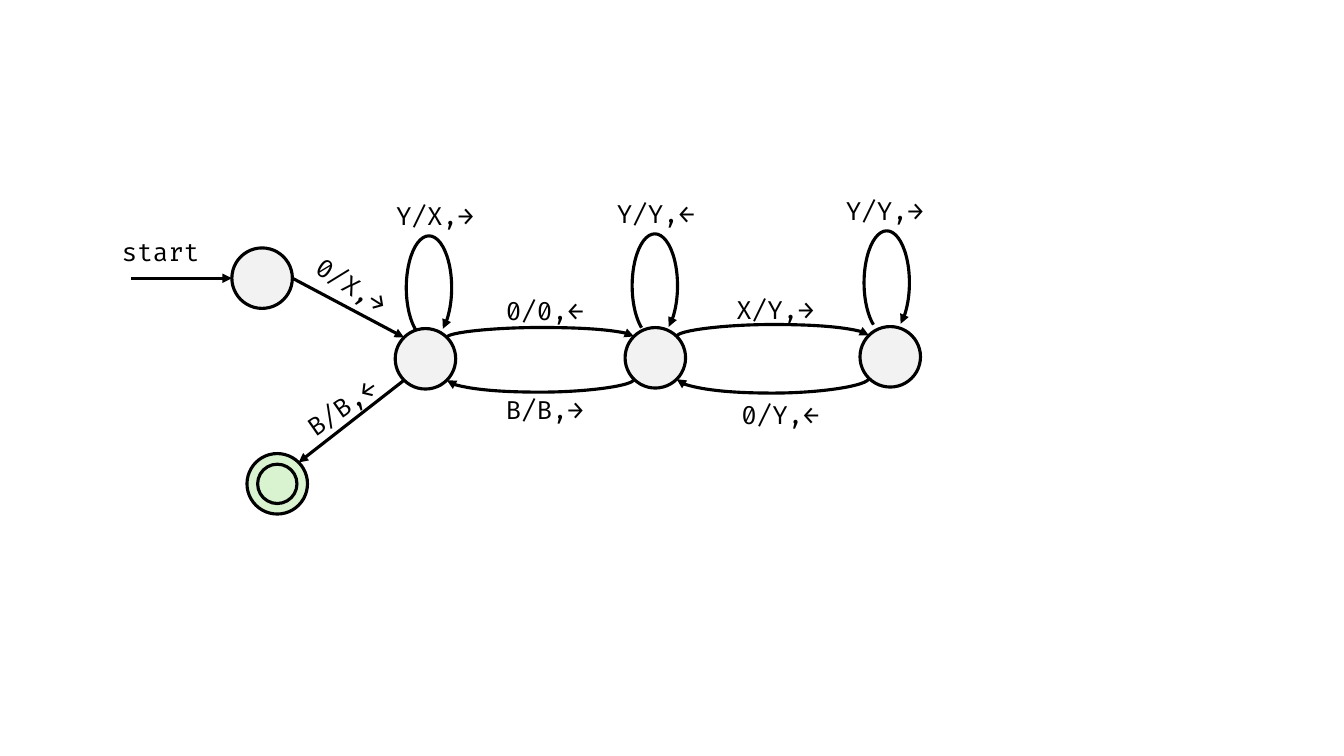
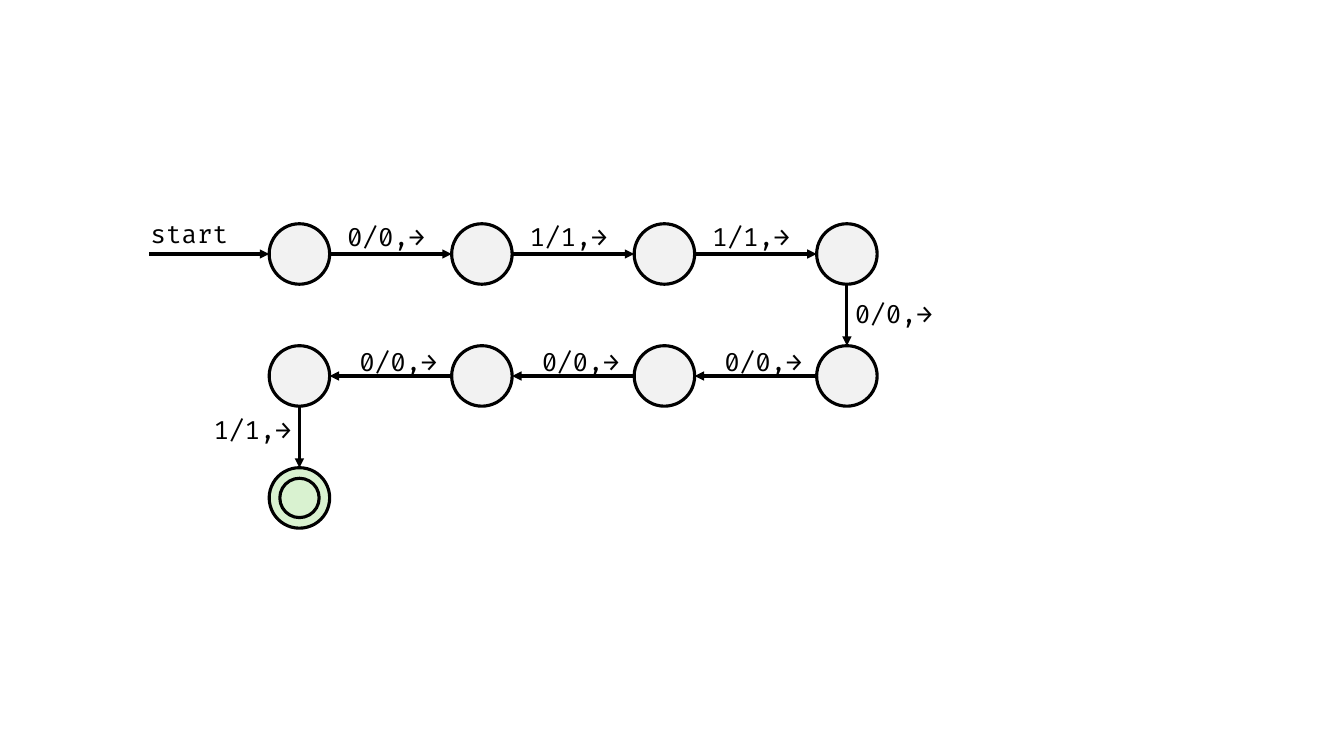
import lxml.etree
import pptx
import pptx.dml.color
import pptx.enum.shapes
import pptx.enum.text
import pptx.oxml.ns
import pptx.util

Inches = pptx.util.Inches
MSO_SHAPE = pptx.enum.shapes.MSO_SHAPE
MSO_CONNECTOR = pptx.enum.shapes.MSO_CONNECTOR
qn = pptx.oxml.ns.qn

# Shared style
INK, STATE, ACCEPT = "000000", "F2F2F2", "D9F2D0"
FONT, FONT_SIZE, LINE_WIDTH = "Fira Code", 18, 2.25
STATE_SIZE, INNER_SIZE = 0.6, 0.39
LABEL_W, LABEL_H = 0.99, 0.4
LOOP_W, LOOP_H = 0.45, 1.03

# Unit directions from a state's centre to its rim
DIAGONAL = 0.5 ** 0.5
COMPASS = {
    "n": (0, -1), "s": (0, 1), "w": (-1, 0), "e": (1, 0),
    "nw": (-DIAGONAL, -DIAGONAL), "ne": (DIAGONAL, -DIAGONAL),
    "sw": (-DIAGONAL, DIAGONAL), "se": (DIAGONAL, DIAGONAL),
}


def color(hex_value):
    return pptx.dml.color.RGBColor.from_string(hex_value)


def stroke(shape, arrow=False):
    shape.line.color.rgb = color(INK)
    shape.line.width = pptx.util.Pt(LINE_WIDTH)
    if arrow:
        ln = shape.line._get_or_add_ln()
        lxml.etree.SubElement(ln, qn("a:tailEnd"), type="triangle")


def label(s, x, y, text, rotation=0):
    tb = s.shapes.add_textbox(Inches(x), Inches(y), Inches(LABEL_W), Inches(LABEL_H))
    tb.rotation = rotation
    tf = tb.text_frame
    tf.word_wrap = False
    tf.auto_size = pptx.enum.text.MSO_AUTO_SIZE.SHAPE_TO_FIT_TEXT
    r = tf.paragraphs[0].add_run()
    r.text = text
    r.font.name = FONT
    r.font.size = pptx.util.Pt(FONT_SIZE)
    r.font.color.rgb = color(INK)


def circle(shapes, center, size, fill):
    x, y = center
    sp = shapes.add_shape(MSO_SHAPE.OVAL, Inches(x - size / 2), Inches(y - size / 2),
                          Inches(size), Inches(size))
    sp.shadow.inherit = False
    sp.fill.solid()
    sp.fill.fore_color.rgb = color(fill)
    stroke(sp)


def accept_state(s, center):
    group = s.shapes.add_group_shape()
    for size in (STATE_SIZE, INNER_SIZE):
        circle(group.shapes, center, size, ACCEPT)


def rim(center, direction):
    dx, dy = COMPASS[direction]
    return center[0] + dx * STATE_SIZE / 2, center[1] + dy * STATE_SIZE / 2


def connect(s, kind, begin, end):
    cx = s.shapes.add_connector(kind, *(Inches(v) for v in (*begin, *end)))
    stroke(cx, arrow=True)
    lxml.etree.SubElement(cx._element.spPr, qn("a:effectLst"))
    return cx


def curve(s, begin, end, bend):
    """Arc between two points side by side; bend is its depth, positive downwards."""
    mid_x, mid_y = (begin[0] + end[0]) / 2, (begin[1] + end[1]) / 2
    # The frame is turned a quarter, so width and height trade places
    half_w, half_h = (end[1] - begin[1]) / 2, (begin[0] - end[0]) / 2
    cx = connect(s, MSO_CONNECTOR.CURVE, (mid_x - half_w, mid_y - half_h),
                 (mid_x + half_w, mid_y + half_h))
    spPr = cx._element.spPr
    spPr.find(qn("a:xfrm")).set("rot", "5400000")
    geom = spPr.find(qn("a:prstGeom"))
    guides = geom.find(qn("a:avLst"))
    if guides is None:
        guides = lxml.etree.SubElement(geom, qn("a:avLst"))
    ratio = round(100000 * bend / (end[1] - begin[1]))
    lxml.etree.SubElement(guides, qn("a:gd"), name="adj1", fmla=f"val {ratio}")


def edge(s, begin, end, text, offset, bend=0, rotation=0):
    """Arrow with a label whose corner is offset from the arrow's midpoint."""
    if bend:
        curve(s, begin, end, bend)
    else:
        connect(s, MSO_CONNECTOR.STRAIGHT, begin, end)
    label(s, (begin[0] + end[0]) / 2 + offset[0],
          (begin[1] + end[1]) / 2 + offset[1], text, rotation)


def loop(s, center, dx, dy, text, label_dx):
    x, y = center[0] + dx, center[1] + dy
    sp = s.shapes.add_shape(MSO_SHAPE.ARC, Inches(x), Inches(y),
                            Inches(LOOP_W), Inches(LOOP_H))
    sp.shadow.inherit = False
    sp.adjustments[0], sp.adjustments[1] = 64.56, 42.78
    sp.fill.background()
    stroke(sp, arrow=True)
    label(s, x + label_dx, y - 0.4, text)


def looping_machine(s, x, y):
    """State diagram with loops; (x, y) is the tail of the start arrow."""
    first, left, middle, right, final = [
        (x + dx, y + dy) for dx, dy in
        ((1.3, 0), (2.92, 0.8), (5.2, 0.79), (7.53, 0.78), (1.45, 2.04))]

    # Loops
    loop(s, left, -0.19, -1.22, "Y/X,→", -0.2)
    loop(s, middle, -0.23, -1.23, "Y/Y,←", -0.25)
    loop(s, right, -0.26, -1.25, "Y/Y,→", -0.28)

    # States
    for center in (first, left, middle, right):
        circle(s.shapes, center, STATE_SIZE, STATE)
    accept_state(s, final)

    # Straight transitions
    edge(s, (x, y), rim(first, "w"), "start", (-0.69, -0.46))
    edge(s, rim(first, "e"), rim(left, "nw"), "0/X,→", (-0.45, -0.42), rotation=32.5)
    edge(s, rim(left, "sw"), rim(final, "ne"), "B/B,←", (-0.58, -0.35), rotation=-34.7)

    # Curved transitions, out above and back below
    for a, b, out, out_dx, out_bend, back, back_offset, back_bend in (
            (left, middle, "0/0,←", -0.44, -0.1, "B/B,→", (-0.44, 0.1), 0.13),
            (middle, right, "X/Y,→", -0.46, -0.12, "0/Y,←", (-0.41, 0.16), 0.15)):
        edge(s, rim(a, "ne"), rim(b, "nw"), out, (out_dx, -0.46), out_bend)
        edge(s, rim(b, "sw"), rim(a, "se"), back, back_offset, back_bend)


def winding_machine(s, x, y):
    """Chain of states on a grid; (x, y) is the tail of the start arrow."""
    column_gap, row_gap, columns = 1.81, 1.21, 4
    upper, lower = [[(x + 1.49 + column_gap * i, y + row_gap * row)
                     for i in range(columns)] for row in range(2)]
    final = (lower[0][0], y + 2 * row_gap)

    # States
    for center in upper + lower:
        circle(s.shapes, center, STATE_SIZE, STATE)
    accept_state(s, final)

    # Upper row, left to right
    edge(s, (x, y), rim(upper[0], "w"), "start", (-0.68, -0.4))
    for a, b, text in zip(upper, upper[1:], ("0/0,→", "1/1,→", "1/1,→")):
        edge(s, rim(a, "e"), rim(b, "w"), text, (-0.53, -0.37))

    # Lower row, right to left
    for a, b in zip(lower[1:], lower):
        edge(s, rim(a, "w"), rim(b, "e"), "0/0,→", (-0.41, -0.34))

    # Steps down
    edge(s, rim(upper[-1], "s"), rim(lower[-1], "n"), "0/0,→", (-0.02, -0.21))
    edge(s, rim(lower[0], "s"), rim(final, "n"), "1/1,→", (-0.95, -0.27))


def main():
    prs = pptx.Presentation()
    prs.slide_width, prs.slide_height = Inches(13.33), Inches(7.5)
    for build, x, y in ((looping_machine, 1.3, 2.76), (winding_machine, 1.48, 2.52)):
        build(prs.slides.add_slide(prs.slide_layouts[6]), x, y)
    prs.save("out.pptx")


if __name__ == "__main__":
    main()
